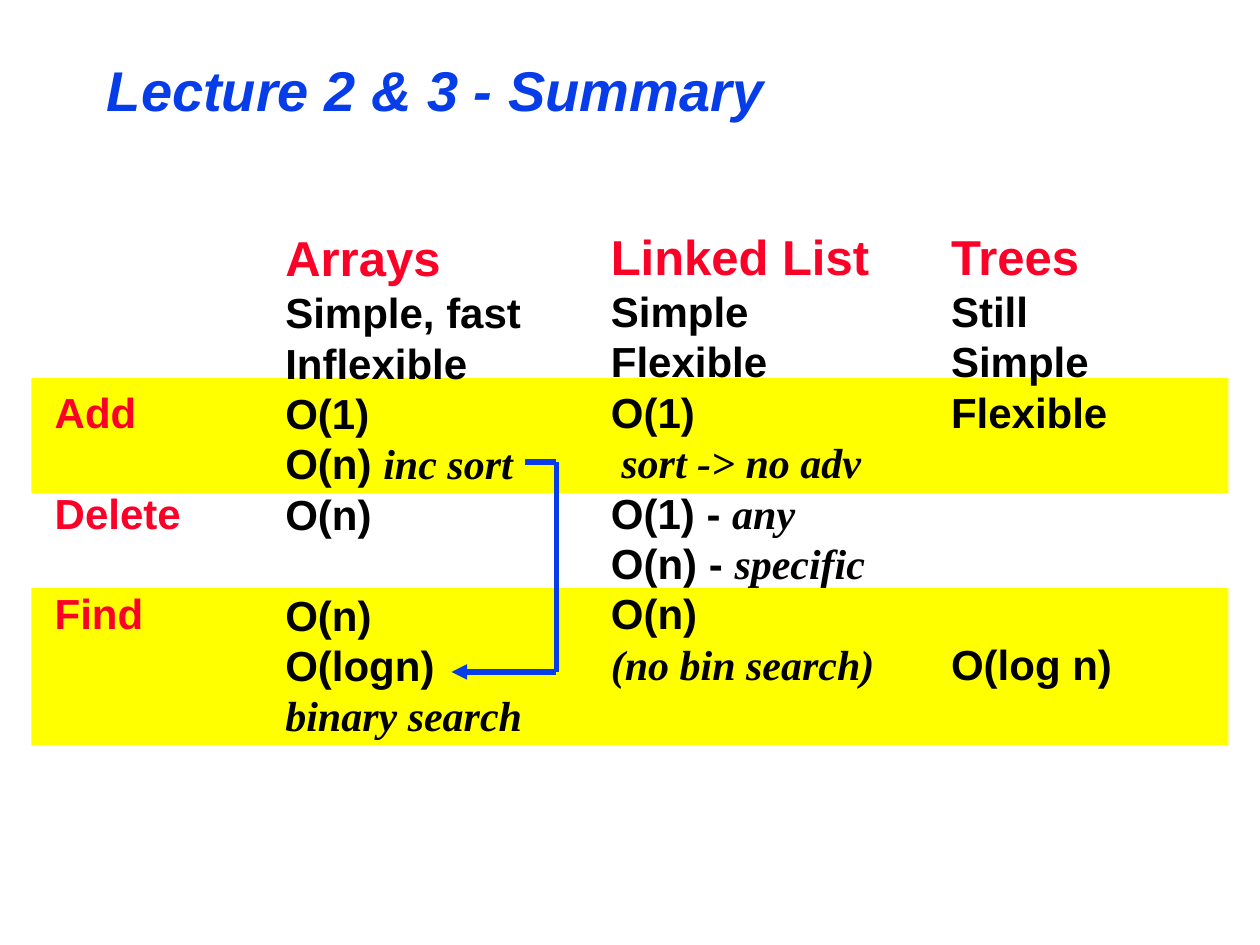
from dataclasses import dataclass

from lxml.etree import SubElement
from pptx import Presentation
from pptx.dml.color import RGBColor
from pptx.enum.shapes import MSO_CONNECTOR as Connector, MSO_SHAPE as Preset
from pptx.enum.text import MSO_ANCHOR as Anchor, MSO_AUTO_SIZE as AutoSize
from pptx.oxml.ns import qn
from pptx.util import Pt

BLUE = RGBColor(0x06, 0x3D, 0xE8)
RED = RGBColor(0xFC, 0x01, 0x28)
YELLOW = RGBColor(0xFF, 0xFF, 0x00)
BLACK = RGBColor(0x00, 0x00, 0x00)
SANS, SERIF = "Arial", "Times New Roman"
HEADING_SIZE, BODY_SIZE = 28, 24
LEADING = 1.2
ROW_HEIGHT = BODY_SIZE * LEADING


@dataclass
class Entry:
    row: int
    plain: str = ""
    remark: str = ""  # set in serif italics
    color: RGBColor = BLACK
    size: float = BODY_SIZE


@dataclass
class Column:
    left: float
    top: float
    width: float
    entries: list[Entry]


@dataclass
class Segment:
    start: tuple[float, float]
    end: tuple[float, float]
    arrow_at_start: bool = False


def heading(text: str) -> Entry:
    return Entry(0, text, color=RED, size=HEADING_SIZE)


def set_font(font, name: str, size: float, color: RGBColor, italic: bool) -> None:
    font.name, font.size, font.bold, font.italic = name, Pt(size), True, italic
    font.color.rgb = color


def draw_band(slide, top: float, height: float) -> None:
    band = slide.shapes.add_shape(Preset.RECTANGLE, Pt(18), Pt(top), Pt(684), Pt(height))
    band.shadow.inherit = False
    band.fill.solid()
    band.fill.fore_color.rgb = YELLOW
    band.line.fill.background()


def draw_title(slide, text: str) -> None:
    title = slide.shapes.add_textbox(Pt(54), Pt(24), Pt(612), Pt(54)).text_frame
    title.word_wrap = True
    title.vertical_anchor = Anchor.MIDDLE
    title.text = text
    set_font(title.paragraphs[0].font, SANS, 32, BLUE, True)


def draw_column(slide, column: Column) -> None:
    height = 7.2 + sum(e.size * LEADING for e in column.entries)
    frame = slide.shapes.add_textbox(
        Pt(column.left), Pt(column.top), Pt(column.width), Pt(height)).text_frame
    frame.word_wrap = False
    frame.auto_size = AutoSize.SHAPE_TO_FIT_TEXT
    previous = None
    for entry in column.entries:
        paragraph = frame.add_paragraph() if previous else frame.paragraphs[0]
        paragraph.line_spacing = Pt(entry.size * LEADING)
        skipped = entry.row - previous.row - 1 if previous else 0
        paragraph.space_before = Pt(skipped * ROW_HEIGHT)
        only_remark = not entry.plain
        set_font(paragraph.font, SERIF if only_remark else SANS,
                 entry.size, entry.color, only_remark)
        for text in filter(None, (entry.plain, entry.remark)):
            run = paragraph.add_run()
            run.text = text
        if entry.plain and entry.remark:
            for run, name in zip(paragraph.runs, (SANS, SERIF)):
                set_font(run.font, name, entry.size, entry.color, name == SERIF)
        previous = entry


def draw_segment(slide, segment: Segment) -> None:
    line = slide.shapes.add_connector(
        Connector.STRAIGHT, *map(Pt, segment.start + segment.end))
    line.line.color.rgb = BLUE
    line.line.width = Pt(3)
    properties = line._element.spPr
    if segment.arrow_at_start:
        SubElement(properties.find(qn("a:ln")), qn("a:headEnd"), type="triangle")
    SubElement(properties, qn("a:effectLst"))


presentation = Presentation()
presentation.slide_width, presentation.slide_height = Pt(720), Pt(540)
slide = presentation.slides.add_slide(presentation.slide_layouts[6])

# Bands behind the Find and Add rows
draw_band(slide, 336, 90)
draw_band(slide, 216, 66)

draw_title(slide, "Lecture 2 & 3 - Summary")

# Comparison columns; the operation labels start at row 3
TOP = 126
LABELS_TOP = TOP + HEADING_SIZE * LEADING + 2 * ROW_HEIGHT
columns = [
    Column(156, TOP + 0.7, 150, [
        heading("Arrays"),
        Entry(1, "Simple, fast"),
        Entry(2, "Inflexible"),
        Entry(3, "O(1)"),
        Entry(4, "O(n) ", "inc sort"),
        Entry(5, "O(n)"),
        Entry(7, "O(n)"),
        Entry(8, "O(logn)"),
        Entry(9, remark="binary search"),
    ]),
    Column(24.2, LABELS_TOP, 86.4, [
        Entry(3, "Add", color=RED),
        Entry(5, "Delete", color=RED),
        Entry(7, "Find", color=RED),
    ]),
    Column(342, TOP, 165, [
        heading("Linked List"),
        Entry(1, "Simple"),
        Entry(2, "Flexible"),
        Entry(3, "O(1)"),
        Entry(4, remark=" sort -> no adv"),
        Entry(5, "O(1) - ", "any"),
        Entry(6, "O(n) - ", "specific"),
        Entry(7, "O(n)"),
        Entry(8, remark="(no bin search)"),
    ]),
    Column(536.4, TOP, 143.3, [
        heading("Trees"),
        Entry(1, "Still Simple"),
        Entry(2, "Flexible"),
        Entry(7, "O(log n)"),
    ]),
]
for column in columns:
    draw_column(slide, column)

# Arrow from sorted insertion to binary search
for segment in (
    Segment((258, 384), (318, 384), arrow_at_start=True),
    Segment((318, 384), (318, 264)),
    Segment((300, 264), (318, 264)),
):
    draw_segment(slide, segment)

presentation.save("out.pptx")
